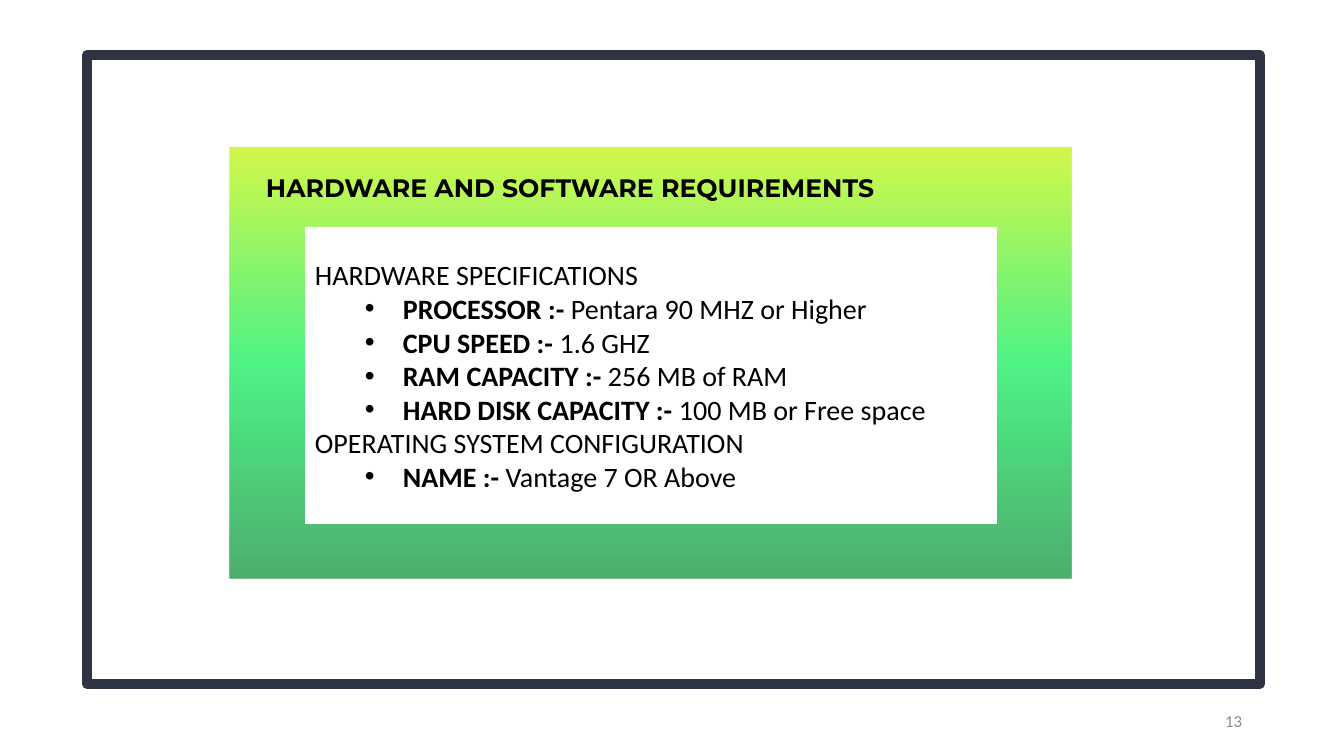
import pptx
import pptx.dml.color
import pptx.enum.shapes
import pptx.enum.text
import pptx.oxml
import pptx.oxml.ns
import pptx.util

PX = 9144000 / 1008
ALIGN = pptx.enum.text.PP_ALIGN
ANCHOR = pptx.enum.text.MSO_ANCHOR
NS = pptx.oxml.ns.nsdecls("a")


def px(n):
    return pptx.util.Emu(round(n * PX))


def rgb(value):
    return pptx.dml.color.RGBColor.from_string(value)


class Deck:
    """Holds the text style and the current slide, and draws its elements."""

    def __init__(self, prs, **style):
        self.s = prs.slides.add_slide(prs.slide_layouts[6])
        self.style = style

    def rect(self, box, fill=None, line=None, width=0):
        sp = self.s.shapes.add_shape(
            pptx.enum.shapes.MSO_SHAPE.RECTANGLE, *map(px, box))
        sp.shadow.inherit = False
        sp.fill.background()
        sp.line.fill.background()
        if fill:
            sp.fill.solid()
            sp.fill.fore_color.rgb = rgb(fill)
        if line:
            sp.line.color.rgb = rgb(line)
            sp.line.width = pptx.util.Pt(width)
        return sp

    def gradient(self, box, stops, angle, alpha):
        sp = self.rect(box)
        gs = "".join(
            f'<a:gs pos="{pos * 1000}"><a:srgbClr val="{color}">'
            f'<a:alpha val="{alpha * 1000}"/></a:srgbClr></a:gs>'
            for pos, color in stops)
        grad = pptx.oxml.parse_xml(
            f'<a:gradFill {NS} rotWithShape="1"><a:gsLst>{gs}</a:gsLst>'
            f'<a:lin ang="{angle * 60000}" scaled="0"/></a:gradFill>')
        spPr = sp.element.spPr
        spPr.replace(spPr.find(pptx.oxml.ns.qn("a:noFill")), grad)

    def text(self, box, text, align=ALIGN.LEFT, anchor=ANCHOR.TOP, **style):
        sp = self.s.shapes.add_textbox(*map(px, box))
        tf = sp.text_frame
        tf.word_wrap = True
        tf.vertical_anchor = anchor
        p = tf.paragraphs[0]
        p.alignment = align
        self.run(p, text, **style)

    def list(self, box, items, fill, indent, hang):
        tf = self.rect(box, fill).text_frame
        tf.word_wrap = True
        tf.vertical_anchor = ANCHOR.MIDDLE
        for i, (label, value) in enumerate(items):
            p = tf.add_paragraph() if i else tf.paragraphs[0]
            p.alignment = ALIGN.LEFT
            if value:
                self.bullet(p, indent, hang)
                self.run(p, f"{label} :- ", bold=True)
                self.run(p, value)
            else:
                self.run(p, label)

    def bullet(self, p, indent, hang):
        p.level = 1
        pPr = p._p.get_or_add_pPr()
        pPr.set("marL", str(px(indent)))
        pPr.set("indent", str(px(-hang)))
        for tag in ('buFont typeface="Arial"', 'buChar char="•"'):
            pPr.append(pptx.oxml.parse_xml(f"<a:{tag} {NS}/>"))

    def run(self, p, text, **style):
        r = p.add_run()
        r.text = text
        look = {**self.style, **style}
        r.font.color.rgb = rgb(look.pop("color"))
        look["size"] = pptx.util.Pt(look["size"])
        for name, value in look.items():
            setattr(r.font, name, value)


REQUIREMENTS = [
    ("HARDWARE SPECIFICATIONS", None),
    ("PROCESSOR", "Pentara 90 MHZ or Higher"),
    ("CPU SPEED", "1.6 GHZ"),
    ("RAM CAPACITY", "256 MB of RAM"),
    ("HARD DISK CAPACITY", "100 MB or Free space"),
    ("OPERATING SYSTEM CONFIGURATION", None),
    ("NAME", "Vantage 7 OR Above"),
]


def main():
    prs = pptx.Presentation()
    prs.slide_width, prs.slide_height = px(1344), px(756)
    deck = Deck(prs, name="Calibri", size=20, color="000000", bold=False)
    deck.gradient((230, 148, 841, 430),
                  [(0, "038B30"), (50, "05EE55"), (100, "C0F400")],
                  angle=270, alpha=70)
    deck.rect((87, 55, 1173, 629), line="2F3342", width=7)
    deck.list((305, 227, 692, 297), REQUIREMENTS, "FFFFFF", indent=88, hang=38)
    deck.text((950, 701, 302, 40), "13", ALIGN.RIGHT, ANCHOR.MIDDLE,
              size=12, color="8C8C8C")
    deck.text((256, 167, 670, 40), "HARDWARE AND SOFTWARE REQUIREMENTS",
              name="Montserrat", size=18, bold=True)
    prs.save("out.pptx")


if __name__ == "__main__":
    main()
